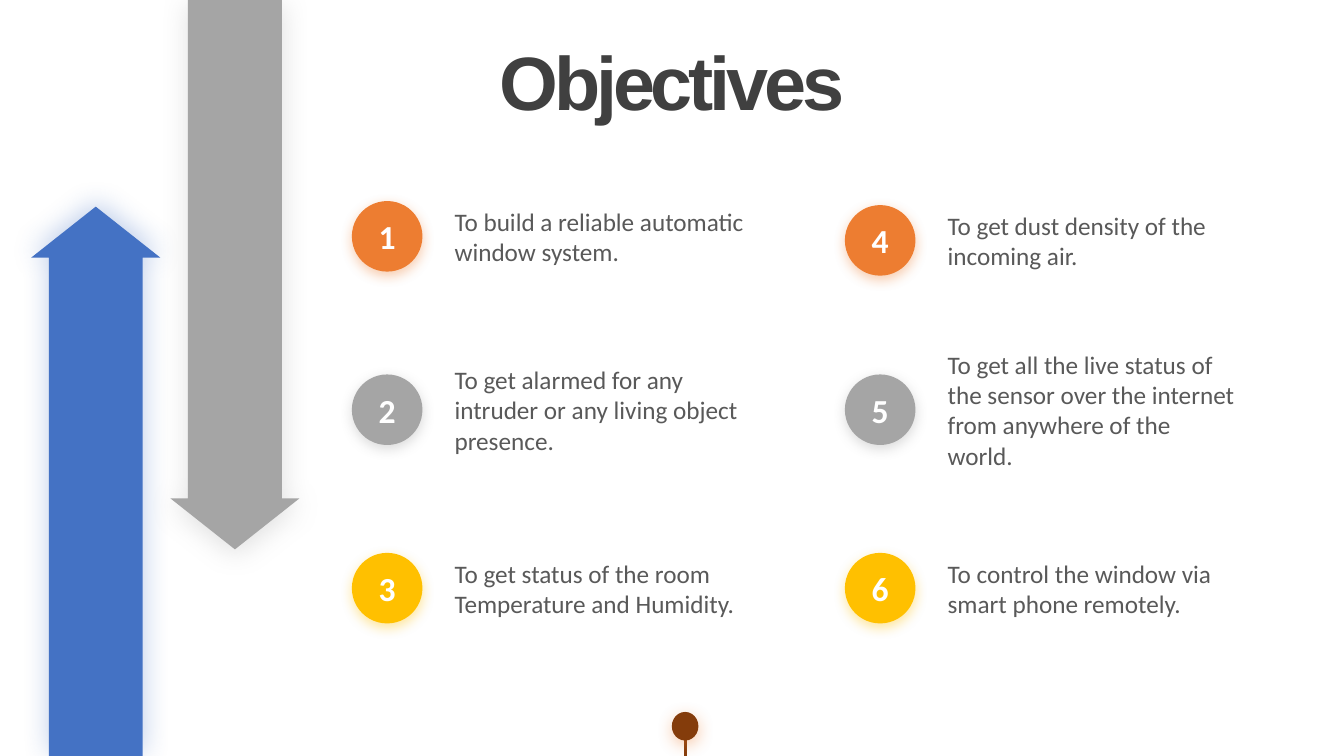
from dataclasses import dataclass

from lxml.etree import SubElement
from pptx import Presentation
from pptx.dml.color import RGBColor
from pptx.enum.shapes import MSO_CONNECTOR, MSO_SHAPE
from pptx.enum.text import MSO_ANCHOR, MSO_AUTO_SIZE, PP_ALIGN
from pptx.oxml.ns import qn
from pptx.util import Inches, Pt


@dataclass(frozen=True)
class Theme:
    blue: str = "4472C4"
    gray: str = "A5A5A5"
    orange: str = "ED7D31"
    yellow: str = "FFC000"
    brown: str = "843C0B"
    white: str = "FFFFFF"
    title_color: str = "404040"
    body_color: str = "595959"
    title_font: str = "Arial"
    body_font: str = "Calibri"
    title_size: int = 54
    number_size: int = 24
    body_size: int = 18


THEME = Theme()
OBJECTIVES = [
    "To build a reliable automatic window system.",
    "To get alarmed for any intruder or any living object presence.",
    "To get status of the room Temperature and Humidity.",
    "To get dust density of the incoming air.",
    "To get all the live status of the sensor over the internet from anywhere of the world.",
    "To control the window via smart phone remotely.",
]


def add_glow_shadow(shape, color, opacity, blur, direction):
    shape.shadow.inherit = False
    effects = shape._element.spPr.find(qn("a:effectLst"))
    shadow = SubElement(
        effects, qn("a:outerShdw"), blurRad=str(Pt(blur)), dist=str(Pt(3)),
        dir=str(direction * 60000), algn="ctr", rotWithShape="0",
    )
    shadow_color = SubElement(shadow, qn("a:srgbClr"), val=color)
    SubElement(shadow_color, qn("a:alpha"), val=str(opacity * 1000))


def add_filled_shape(slide, kind, box, color):
    shape = slide.shapes.add_shape(kind, *(Inches(length) for length in box))
    shape.fill.solid()
    shape.fill.fore_color.rgb = RGBColor.from_string(color)
    shape.line.fill.background()
    return shape


def write_text(shape, text, font_name, size, color, bold=False, alignment=PP_ALIGN.LEFT):
    frame = shape.text_frame
    frame.word_wrap = True
    frame.auto_size = MSO_AUTO_SIZE.NONE
    frame.vertical_anchor = MSO_ANCHOR.MIDDLE
    paragraph = frame.paragraphs[0]
    paragraph.text = text
    paragraph.alignment = alignment
    paragraph.font.name = font_name
    paragraph.font.size = Pt(size)
    paragraph.font.bold = bold
    paragraph.font.color.rgb = RGBColor.from_string(color)
    return paragraph


def add_title(slide, left, top, width, height):
    title = slide.shapes.title
    title.left, title.top = Inches(left), Inches(top)
    title.width, title.height = Inches(width), Inches(height)
    paragraph = write_text(title, "Objectives", THEME.title_font, THEME.title_size,
                           THEME.title_color, True, PP_ALIGN.CENTER)
    paragraph.runs[0]._r.get_or_add_rPr().set("spc", "-300")


def add_arrows(slide, left, top, width, height):
    arrow_width, arrow_height = 1.28, 5.45
    arrows = [
        (MSO_SHAPE.UP_ARROW, left, top + height - arrow_height, THEME.blue, 270),
        (MSO_SHAPE.DOWN_ARROW, left + width - arrow_width, top, THEME.gray, 90),
    ]
    for kind, arrow_left, arrow_top, color, direction in arrows:
        box = (arrow_left, arrow_top, arrow_width, arrow_height)
        arrow = add_filled_shape(slide, kind, box, color)
        arrow.adjustments[0] = 0.727
        arrow.adjustments[1] = 0.395
        add_glow_shadow(arrow, color, 34, 20, direction)


def add_objective(slide, left, top, width, height, number, text, color):
    diameter, text_offset = 0.7, 0.92
    text_box = slide.shapes.add_textbox(
        Inches(left + text_offset), Inches(top), Inches(width - text_offset), Inches(height))
    write_text(text_box, text, THEME.body_font, THEME.body_size, THEME.body_color)
    circle_box = (left, top + (height - diameter) / 2, diameter, diameter)
    circle = add_filled_shape(slide, MSO_SHAPE.OVAL, circle_box, color)
    add_glow_shadow(circle, color, 39, 9, 90)
    write_text(circle, str(number), THEME.body_font, THEME.number_size, THEME.white,
               True, PP_ALIGN.CENTER)


def add_objective_column(slide, left, tops, width, first_number):
    colors = (THEME.orange, THEME.gray, THEME.yellow)
    for number, (top, color) in enumerate(zip(tops, colors), first_number):
        add_objective(slide, left, top, width, 1.09, number, OBJECTIVES[number - 1], color)


def add_pin(slide, left, top, width, height):
    head_height = 0.27
    center = Inches(left + width / 2)
    stem = slide.shapes.add_connector(
        MSO_CONNECTOR.STRAIGHT, center, Inches(top + height), center, Inches(top))
    stem.line.color.rgb = RGBColor.from_string(THEME.brown)
    stem.line.width = Pt(2.25)
    SubElement(stem._element.spPr, qn("a:effectLst"))
    head = add_filled_shape(slide, MSO_SHAPE.OVAL, (left, top, width, head_height), THEME.brown)
    head.line.color.rgb = RGBColor.from_string(THEME.brown)
    head.line.width = Pt(1)
    add_glow_shadow(head, THEME.orange, 40, 12, 90)


def main():
    presentation = Presentation()
    presentation.slide_width = Inches(13.33)
    presentation.slide_height = Inches(7.5)
    slide = presentation.slides.add_slide(presentation.slide_layouts[5])
    add_arrows(slide, 0.31, 0, 2.66, 7.5)
    add_title(slide, 0, 0.35, 13.33, 0.9)
    add_objective_column(slide, 3.49, (1.8, 3.52, 5.29), 4.01, 1)
    add_objective_column(slide, 8.38, (1.84, 3.52, 5.29), 4.01, 4)
    add_pin(slide, 6.67, 7.07, 0.25, 0.43)
    presentation.save("out.pptx")


if __name__ == "__main__":
    main()
